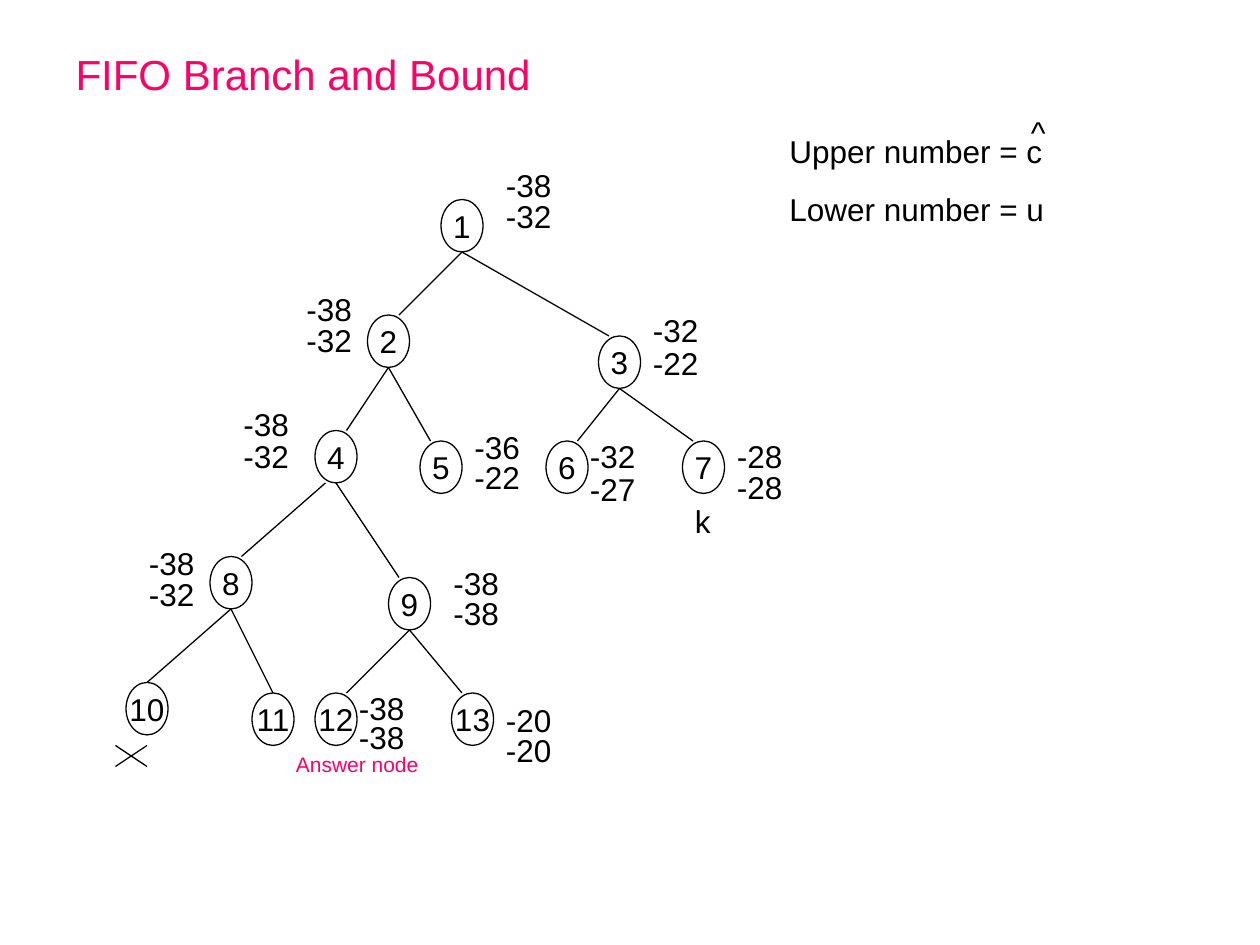
"""Build a slide showing a FIFO branch and bound search tree."""
from lxml import etree
from pptx import Presentation
from pptx.dml.color import RGBColor
from pptx.enum.shapes import MSO_CONNECTOR, MSO_SHAPE
from pptx.enum.text import MSO_ANCHOR, MSO_AUTO_SIZE, PP_ALIGN
from pptx.oxml.ns import qn
from pptx.util import Inches, Pt

STRAIGHT = MSO_CONNECTOR.STRAIGHT
OVAL = MSO_SHAPE.OVAL
CENTER = PP_ALIGN.CENTER
MIDDLE = MSO_ANCHOR.MIDDLE
TOP = MSO_ANCHOR.TOP
GROW = MSO_AUTO_SIZE.SHAPE_TO_FIT_TEXT
FIXED = MSO_AUTO_SIZE.NONE

BLACK = RGBColor(0x00, 0x00, 0x00)
WHITE = RGBColor(0xFF, 0xFF, 0xFF)
PINK = RGBColor(0xFF, 0x00, 0x66)

CELLS_PER_INCH = 12
NODE_WIDTH, NODE_HEIGHT = 4, 5
LABEL_WIDTH, LABEL_HEIGHT = 7, 4.8
SPACE_SHARE = 0.62

NODES = {
    "1": (42, 19), "2": (35, 30), "3": (57, 32), "4": (30, 41),
    "5": (40, 42), "6": (52, 42), "7": (65, 42), "8": (20, 53),
    "9": (37, 55), "10": (12, 65), "11": (24, 66), "12": (30, 66),
    "13": (43, 66),
}

# Parent, child, and the columns inside each oval where the edge meets it.
EDGES = [
    ("1", "2", 2, 3), ("1", "3", 2, 1), ("2", "4", 2, 3), ("2", "5", 2, 1),
    ("3", "6", 2, 3), ("3", "7", 2, 1), ("4", "8", 1, 3), ("4", "9", 2, 1),
    ("8", "10", 2, 2), ("8", "11", 2, 2), ("9", "12", 2, 3), ("9", "13", 2, 1),
]

# Column, row, row step, upper number, lower number.
BOUNDS = [
    (47, 15.2, 3, "-38", "-32"), (28, 27, 3, "-38", "-32"),
    (61, 29, 3.2, "-32", "-22"), (22, 38, 3, "-38", "-32"),
    (44, 40.2, 2.8, "-36", "-22"), (55, 41, 3.2, "-32", "-27"),
    (69, 41, 3, "-28", "-28"), (13, 51.2, 3, "-38", "-32"),
    (42, 53.1, 2.9, "-38", "-38"), (33, 65, 2.8, "-38", "-38"),
    (47, 66.2, 2.8, "-20", "-20"),
]


def cells(*counts):
    """Turn counts of grid cells into lengths."""
    return [Inches(count / CELLS_PER_INCH) for count in counts]


def apply_format(target, values):
    """Set every attribute named in the format values."""
    for name, value in values.items():
        setattr(target, name, value)


def write_text(para, text, size=18, color=BLACK):
    """Write one formatted span into a paragraph."""
    span = para.add_run()
    span.text = text
    apply_format(span.font, {"name": "Arial", "size": Pt(size)})
    span.font.color.rgb = color


def add_heading(page, text):
    """Write the heading into the body placeholder."""
    page.shapes.title.element.getparent().remove(page.shapes.title.element)
    box = page.placeholders[1]
    left, top, width, height = cells(6, 4, 108, 83)
    apply_format(box, {"left": left, "top": top, "width": width, "height": height})
    apply_format(box.text_frame, {"auto_size": FIXED, "vertical_anchor": TOP})
    para = box.text_frame.paragraphs[0]
    para.space_before = Pt(6)
    etree.SubElement(para._p.get_or_add_pPr(), qn("a:buNone"))
    write_text(para, text, 24, PINK)


def add_node(page, name, column, row):
    """Draw one numbered oval."""
    oval = page.shapes.add_shape(OVAL, *cells(column, row, NODE_WIDTH, NODE_HEIGHT))
    oval.shadow.inherit = False
    oval.fill.solid()
    oval.fill.fore_color.rgb = WHITE
    oval.line.color.rgb = BLACK
    oval.line.width = Pt(0.75)
    apply_format(oval.text_frame, {"word_wrap": False, "vertical_anchor": MIDDLE})
    para = oval.text_frame.paragraphs[0]
    para.alignment = CENTER
    write_text(para, name)


def add_line(page, *ends):
    """Draw a thin straight line between two grid points."""
    line = page.shapes.add_connector(STRAIGHT, *cells(*ends))
    line.line.color.rgb = BLACK
    line.line.width = Pt(0.75)
    etree.SubElement(line._element.spPr, qn("a:effectLst"))


def add_edge(page, parent, child, start, end):
    """Join the bottom of a parent to the top of its child."""
    column, row = NODES[parent]
    child_column, child_row = NODES[child]
    add_line(page, column + start, row + NODE_HEIGHT, child_column + end, child_row)


def add_label(page, lines, column, row, width=LABEL_WIDTH, height=LABEL_HEIGHT,
              size=18, color=BLACK):
    """Add a text box with one paragraph for each line."""
    box = page.shapes.add_textbox(*cells(column, row, width, height))
    frame = box.text_frame
    apply_format(frame, {"word_wrap": True, "auto_size": GROW})
    for index, text in enumerate(lines):
        para = frame.add_paragraph() if index else frame.paragraphs[0]
        para.space_before = Pt(round(size * SPACE_SHARE, 1))
        write_text(para, text, size, color)


def main():
    """Build and save the slide."""
    deck = Presentation()
    deck.slide_width, deck.slide_height = cells(120, 90)
    page = deck.slides.add_slide(deck.slide_layouts[1])
    add_heading(page, "FIFO Branch and Bound")
    for name, place in NODES.items():
        add_node(page, name, *place)
    for edge in EDGES:
        add_edge(page, *edge)
    for column, row, step, upper, lower in BOUNDS:
        add_label(page, [upper], column, row)
        add_label(page, [lower], column, row + step)
    add_line(page, 14, 71, 11, 73)
    add_line(page, 11, 71, 14, 73)
    add_label(page, ["k"], 65, 47.2, width=6)
    add_label(page, ["Upper number = c", "Lower number = u"], 74, 12, 27, 10.3)
    add_label(page, ["^"], 97, 10.2, width=5)
    add_label(page, ["Answer node"], 27, 71, 15, 3.6, size=12, color=PINK)
    deck.save("out.pptx")


if __name__ == "__main__":
    main()
